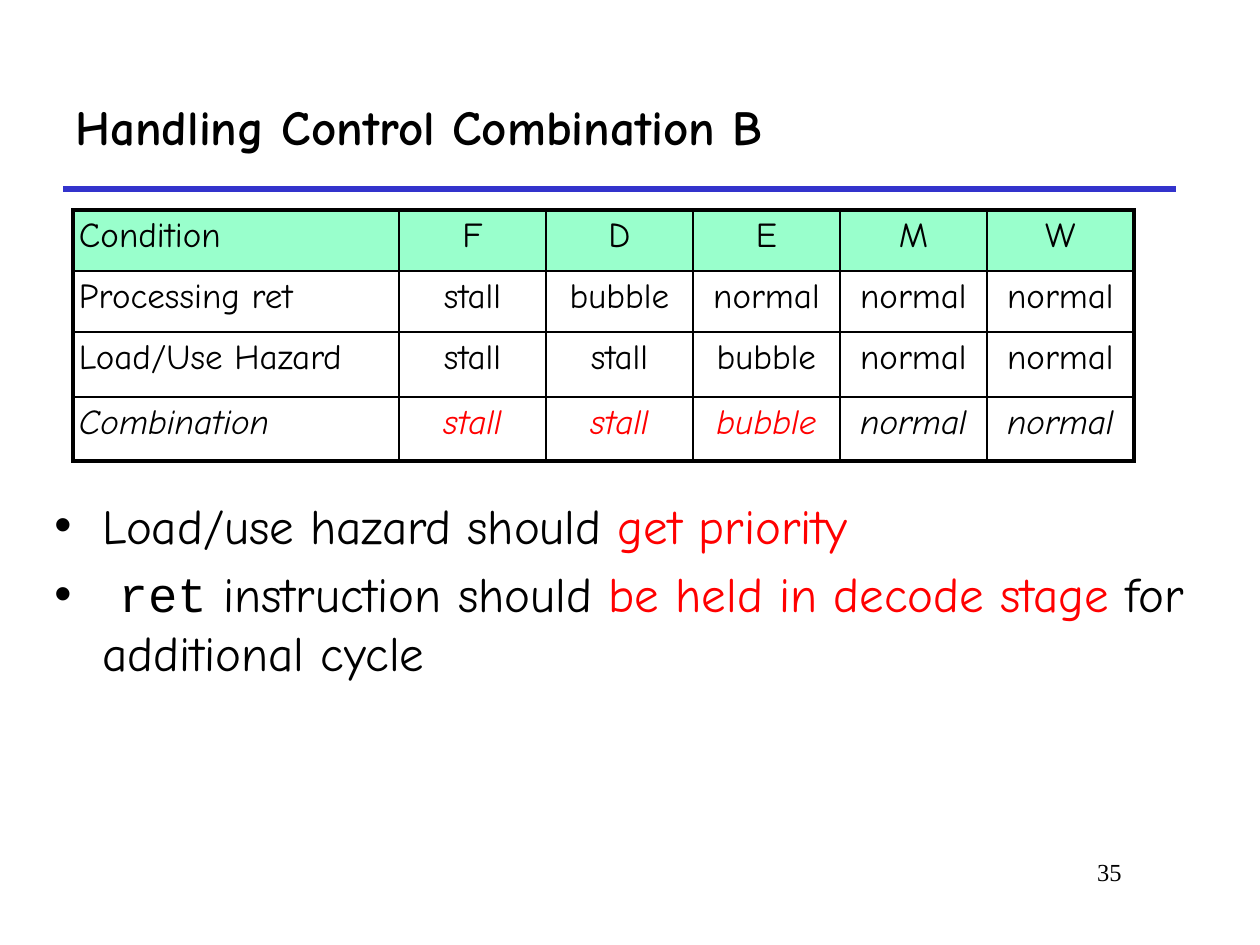
from dataclasses import dataclass

from lxml import etree
from pptx import Presentation
from pptx.dml.color import RGBColor
from pptx.enum import shapes, text
from pptx.oxml import ns
from pptx.util import Emu, Pt


@dataclass(frozen=True)
class Theme:
    ink: str = "000000"
    accent: str = "FF0000"
    rule: str = "3333CC"
    header: str = "99FFCC"
    face: str = "Comic Neue"
    code_face: str = "Courier New"
    number_face: str = "Times New Roman"
    heading_size: int = 28
    body_size: int = 28
    table_size: int = 20
    number_size: int = 14
    rule_width: float = 3
    outer_border: float = 2.25
    inner_border: float = 1


THEME = Theme()
PIXELS_PER_INCH = 126
STATES = ["stall", "bubble", "normal"]
ROWS = [
    ["Condition", "F", "D", "E", "M", "W"],
    ["Processing ret", "stall", "bubble", "normal", "normal", "normal"],
    ["Load/Use Hazard", "stall", "stall", "bubble", "normal", "normal"],
    ["Combination", "stall", "stall", "bubble", "normal", "normal"],
]
POINTS = [
    [("Load/use hazard should ", THEME.face, THEME.ink),
     ("get priority", THEME.face, THEME.accent)],
    [(" ", THEME.face, THEME.ink),
     ("ret", THEME.code_face, THEME.ink),
     (" instruction should ", THEME.face, THEME.ink),
     ("be held in decode stage", THEME.face, THEME.accent),
     (" for additional cycle", THEME.face, THEME.ink)],
]


def px(length):
    return Emu(round(length * 914400 / PIXELS_PER_INCH))


def child(parent, tag, **attributes):
    return etree.SubElement(parent, ns.qn(tag), **attributes)


def add_span(para, words, size, face=THEME.face, color=THEME.ink,
             bold=False, italic=False):
    span = para.add_run()
    span.text = words
    span.font.size = Pt(size)
    span.font.name = face
    span.font.bold = bold
    span.font.italic = italic
    span.font.color.rgb = RGBColor.from_string(color)


def add_heading(page, left, top, width, height):
    box = page.shapes.title
    box.left, box.top = px(left), px(top)
    box.width, box.height = px(width), px(height)
    box.text_frame.vertical_anchor = text.MSO_ANCHOR.MIDDLE
    para = box.text_frame.paragraphs[0]
    para.alignment = text.PP_ALIGN.LEFT
    add_span(para, "Handling Control Combination B", THEME.heading_size, bold=True)

    bottom = px(top + height)
    rule = page.shapes.add_connector(
        shapes.MSO_CONNECTOR.STRAIGHT, px(left), bottom, px(left + width), bottom)
    rule.line.color.rgb = RGBColor.from_string(THEME.rule)
    rule.line.width = Pt(THEME.rule_width)
    child(rule._element.spPr, "a:effectLst")


def set_borders(cell, outer_sides):
    properties = cell._tc.get_or_add_tcPr()
    for side in "LRTB":
        width = THEME.outer_border if side in outer_sides else THEME.inner_border
        line = child(properties, f"a:ln{side}", w=str(Pt(width)))
        child(child(line, "a:solidFill"), "a:srgbClr", val=THEME.ink)


def add_conditions(page, left, top, first_width, stage_width, heights):
    last_row, last_column = len(ROWS) - 1, len(ROWS[0]) - 1
    widths = [first_width] + [stage_width] * last_column
    table = page.shapes.add_table(
        len(ROWS), len(widths), px(left), px(top),
        px(sum(widths)), px(sum(heights))).table
    table.first_row = False
    table.horz_banding = False
    for column, width in zip(table.columns, widths):
        column.width = px(width)
    for row, height in zip(table.rows, heights):
        row.height = px(height)

    for i, words in enumerate(ROWS):
        for j, word in enumerate(words):
            cell = table.cell(i, j)
            cell.margin_left = cell.margin_right = px(6)
            cell.margin_top = cell.margin_bottom = px(6)
            edges = {"L": j == 0, "R": j == last_column,
                     "T": i == 0, "B": i == last_row}
            set_borders(cell, [side for side in edges if edges[side]])
            if i == 0:
                cell.fill.solid()
                cell.fill.fore_color.rgb = RGBColor.from_string(THEME.header)
            else:
                cell.fill.background()
            combined = i == last_row
            changed = combined and word in ("stall", "bubble")
            para = cell.text_frame.paragraphs[0]
            para.alignment = text.PP_ALIGN.CENTER if j else text.PP_ALIGN.LEFT
            add_span(para, word, THEME.table_size, italic=combined,
                     color=THEME.accent if changed else THEME.ink)


def add_points(page, left, top, width, height):
    box = page.shapes.add_textbox(px(left), px(top), px(width), px(height))
    frame = box.text_frame
    frame.word_wrap = True
    for i, spans in enumerate(POINTS):
        para = frame.add_paragraph() if i else frame.paragraphs[0]
        properties = para._p.get_or_add_pPr()
        properties.set("marL", str(px(48)))
        properties.set("indent", str(px(-48)))
        child(properties, "a:buFont", typeface="Arial")
        child(properties, "a:buChar", char="•")
        if i:
            para.space_before = Pt(THEME.body_size * 0.2)
        for words, face, color in spans:
            add_span(para, words, THEME.body_size, face, color)


def add_number(page, left, top, width, height):
    box = page.shapes.add_textbox(px(left), px(top), px(width), px(height))
    box.text_frame.word_wrap = True
    para = box.text_frame.paragraphs[0]
    para.alignment = text.PP_ALIGN.RIGHT
    add_span(para, "35", THEME.number_size, THEME.number_face)


def main():
    deck = Presentation()
    deck.slide_width, deck.slide_height = px(1260), px(945)
    page = deck.slides.add_slide(deck.slide_layouts.get_by_name("Title Only"))
    add_heading(page, 63, 63, 1113, 126)
    add_conditions(page, 73, 210, 326, 147, [61, 61, 65, 64])
    add_points(page, 42, 489, 1159, 289)
    add_number(page, 955, 851, 179, 63)
    deck.save("out.pptx")


if __name__ == "__main__":
    main()
